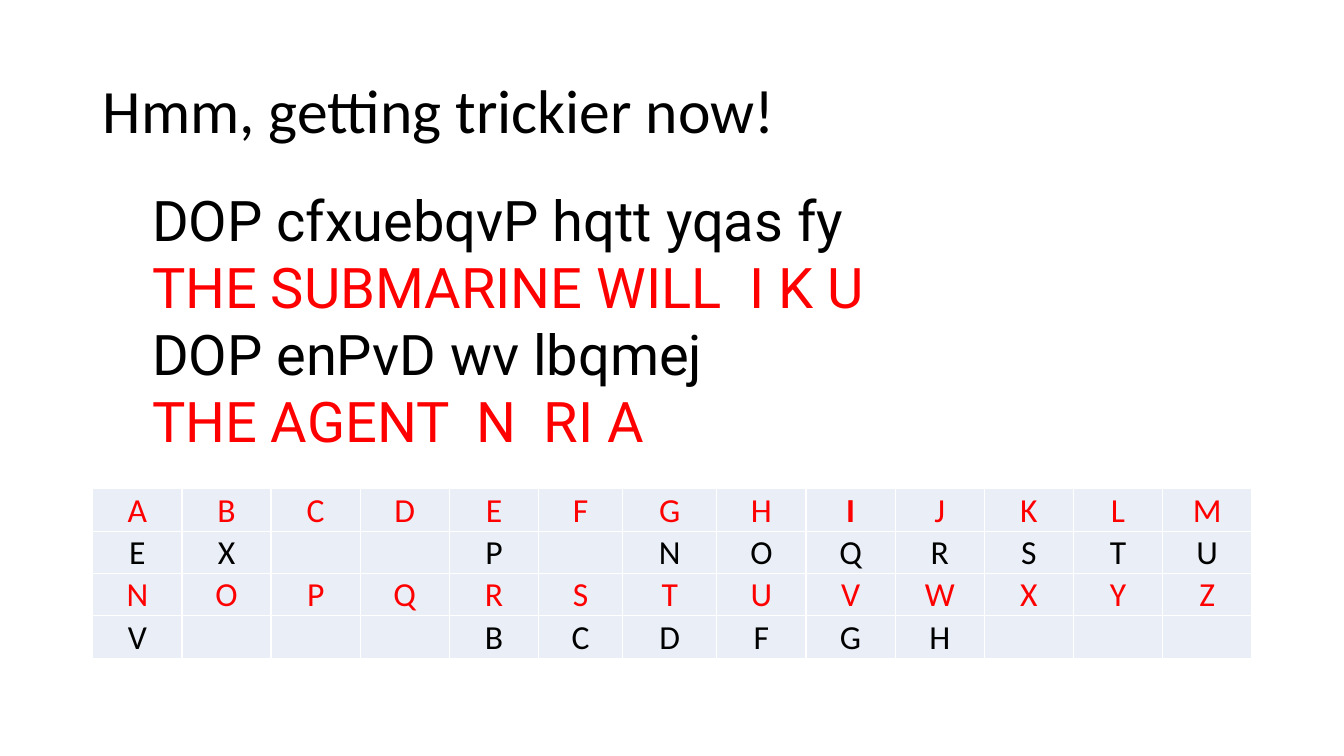
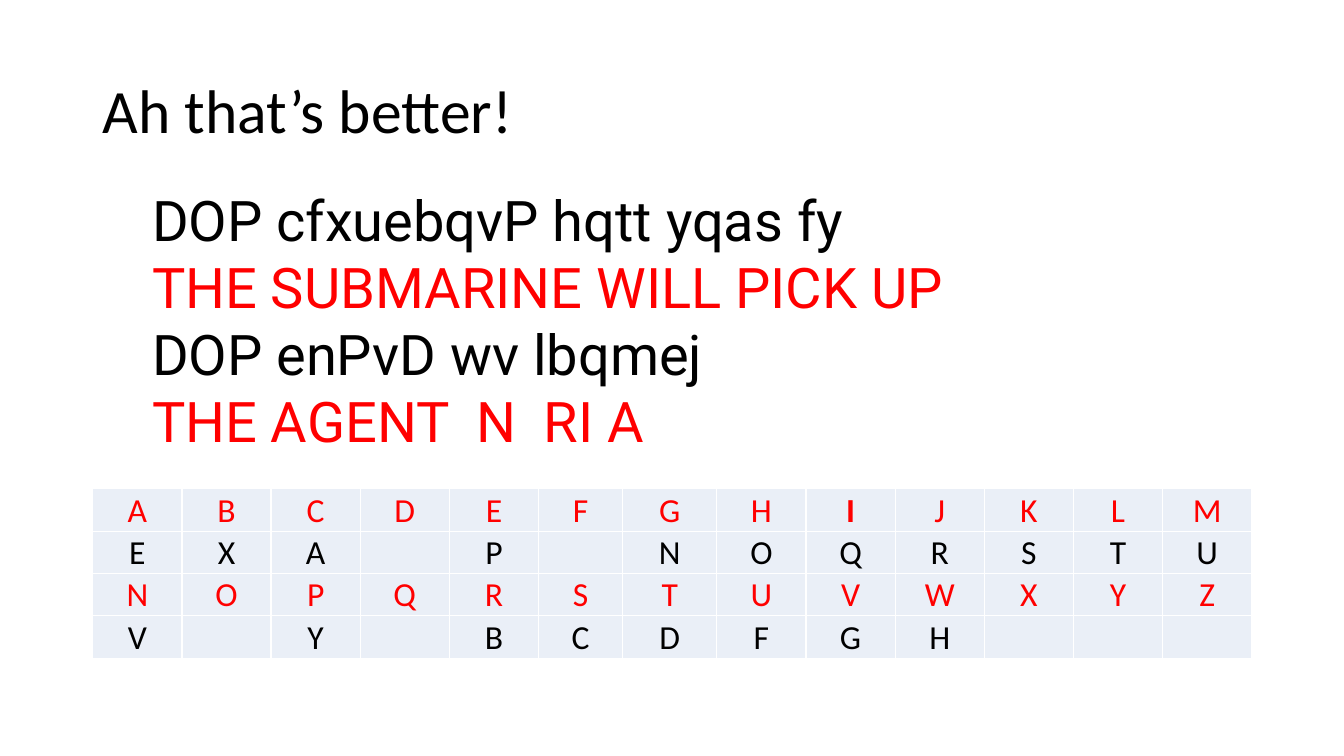
from lxml import etree
from pptx import Presentation
from pptx.dml.color import RGBColor
from pptx.enum.text import MSO_ANCHOR, MSO_AUTO_SIZE, PP_ALIGN
from pptx.oxml.ns import qn
from pptx.util import Inches, Pt

COLORS = {"plain": "000000", "cipher": "000000", "answer": "FF0000",
          "cell": "EAEFF7", "border": "FFFFFF"}
WIDTH, HEIGHT = 13.33, 7.5
MARGIN, CONTENT_WIDTH = 0.92, 11.5
COLUMNS, ROW_HEIGHT = 13, 0.42
COLUMN_WIDTH = CONTENT_WIDTH / COLUMNS
WIDTH_SHIFTS = {5: -0.05, 6: 0.05}
ALPHABET = "ABCDEFGHIJKLMNOPQRSTUVWXYZ"

# Each key lists the cipher letters found so far, a space for an unknown one.
SLIDES = [
    ("Hmm, getting trickier now!", "THE SUBMARINE WILL  I K U",
     "EX  P NOQRSTU" "V   BCDFGH   "),
    ("Ah that’s better!", "THE SUBMARINE WILL PICK UP",
     "EXA P NOQRSTU" "V Y BCDFGH   "),
]


def add_span(para, text, font, size, color):
    span = para.add_run()
    span.text = text
    span.font.name = font
    span.font.size = Pt(size)
    span.font.color.rgb = RGBColor.from_string(COLORS[color])
    return span


def outline_cell(cell):
    properties = cell._tc.get_or_add_tcPr()
    for side in ("lnL", "lnR", "lnT", "lnB"):
        line = etree.SubElement(properties, qn(f"a:{side}"), w=str(Pt(1)))
        fill = etree.SubElement(line, qn("a:solidFill"))
        etree.SubElement(fill, qn("a:srgbClr"), val=COLORS["border"])


deck = Presentation()
deck.slide_width, deck.slide_height = Inches(WIDTH), Inches(HEIGHT)

for heading, first_answer, key in SLIDES:
    page = deck.slides.add_slide(deck.slide_layouts[5])

    title = page.shapes.title
    title.left, title.top = Inches(MARGIN), Inches(0.4)
    title.width, title.height = Inches(CONTENT_WIDTH), Inches(1.45)
    title.text_frame.auto_size = MSO_AUTO_SIZE.NONE
    title.text_frame.vertical_anchor = MSO_ANCHOR.MIDDLE
    para = title.text_frame.paragraphs[0]
    para.alignment = PP_ALIGN.LEFT
    para.line_spacing = 0.9
    add_span(para, heading, "Calibri", 44, "plain")

    grid = page.shapes.add_table(
        4, COLUMNS, Inches(MARGIN), Inches(4.85),
        Inches(CONTENT_WIDTH), Inches(4 * ROW_HEIGHT)).table
    grid.first_row = grid.horz_banding = False
    for index, column in enumerate(grid.columns):
        column.width = Inches(COLUMN_WIDTH + WIDTH_SHIFTS.get(index, 0))
    for row in grid.rows:
        row.height = Inches(ROW_HEIGHT)

    # Alphabet rows alternate with the key rows below them.
    for index, pair in enumerate(zip(ALPHABET, key)):
        half, column = divmod(index, COLUMNS)
        for offset, (letter, color) in enumerate(zip(pair, ("answer", "cipher"))):
            cell = grid.cell(2 * half + offset, column)
            outline_cell(cell)
            cell.fill.solid()
            cell.fill.fore_color.rgb = RGBColor.from_string(COLORS["cell"])
            cell.margin_left = cell.margin_right = cell.margin_top = Inches(0.01)
            cell.margin_bottom = 0
            cell.vertical_anchor = MSO_ANCHOR.BOTTOM
            if letter != " ":
                para = cell.text_frame.paragraphs[0]
                para.alignment = PP_ALIGN.CENTER
                span = add_span(para, letter, "Calibri", 24, color)
                span.font.bold = color == "answer" and letter == "I"

    box = page.shapes.add_textbox(Inches(1.41), Inches(1.79), Inches(9.72), Inches(2.79))
    frame = box.text_frame
    frame.word_wrap = True
    frame.auto_size = MSO_AUTO_SIZE.SHAPE_TO_FIT_TEXT
    message = [("DOP cfxuebqvP hqtt yqas fy", "cipher"), (first_answer, "answer"),
               ("DOP enPvD wv lbqmej", "cipher"), ("THE AGENT  N  RI A", "answer")]
    for index, (text, color) in enumerate(message):
        para = frame.add_paragraph() if index else frame.paragraphs[0]
        add_span(para, text, "Roboto", 40, color)

deck.save("out.pptx")
